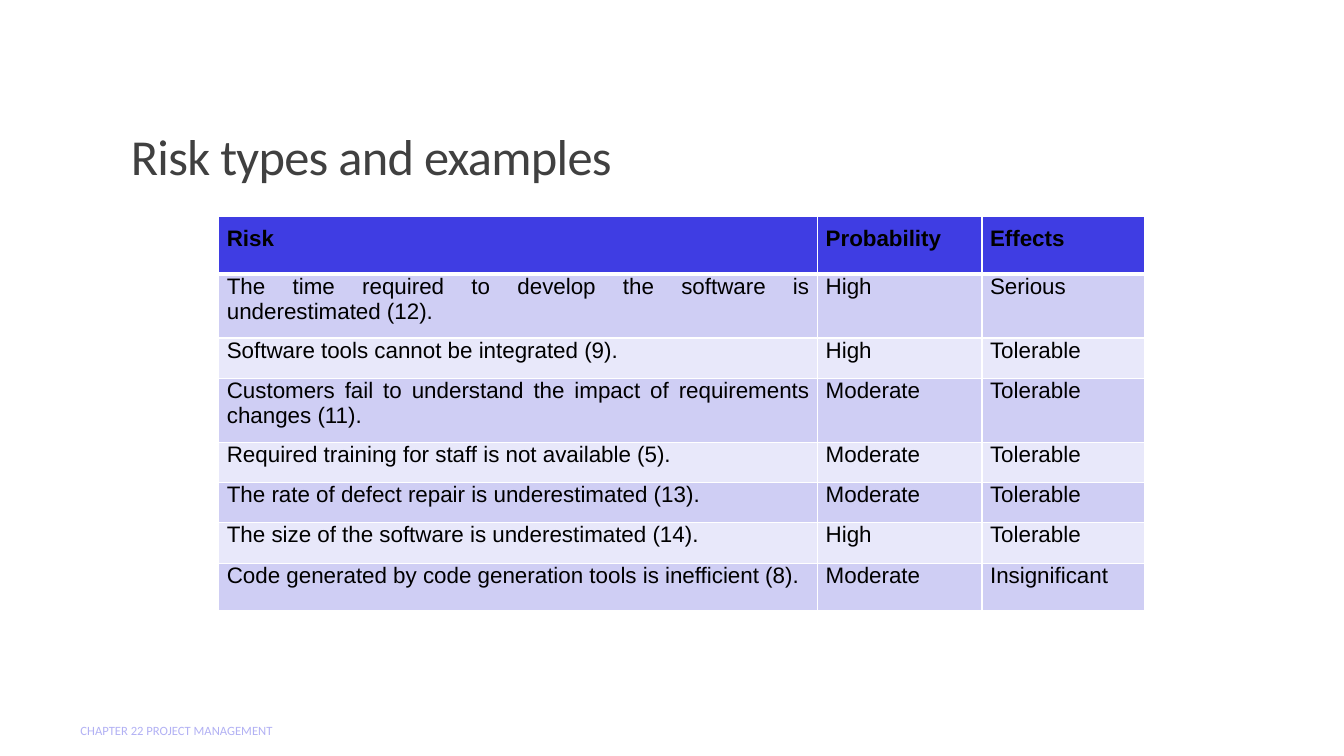
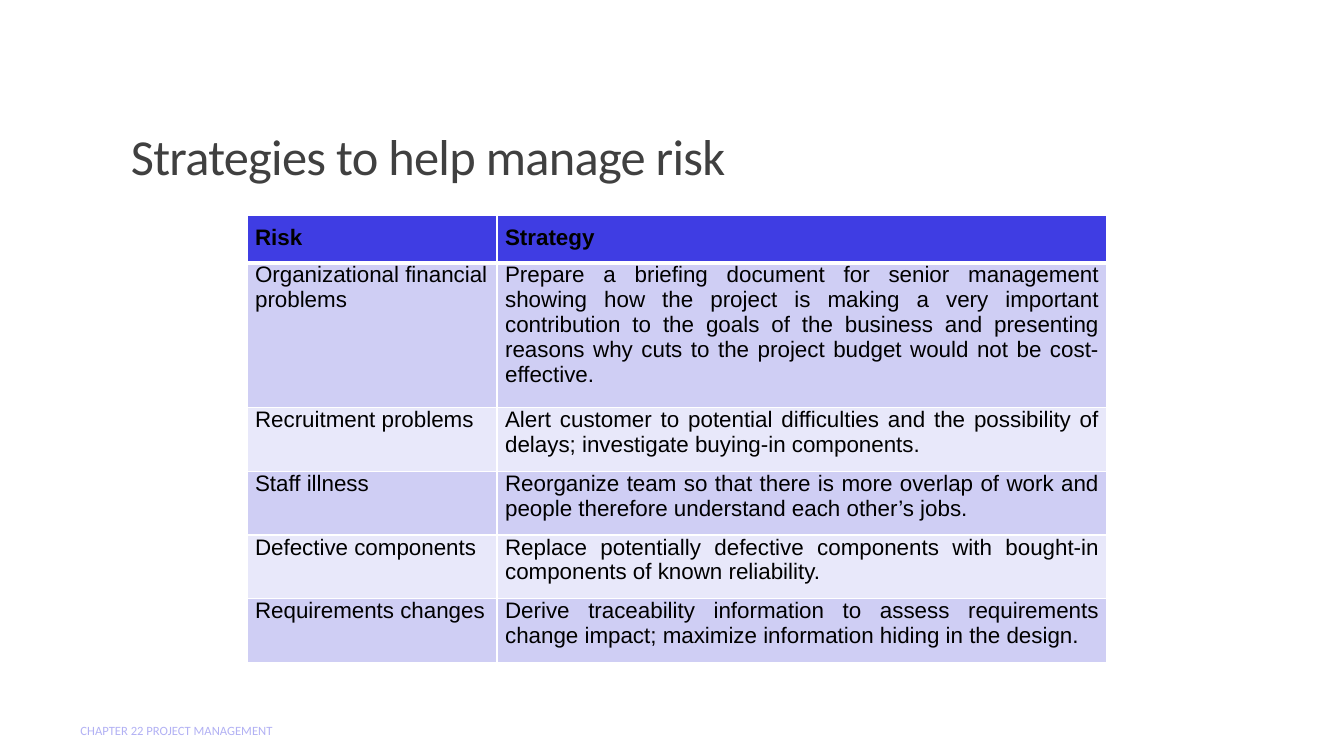
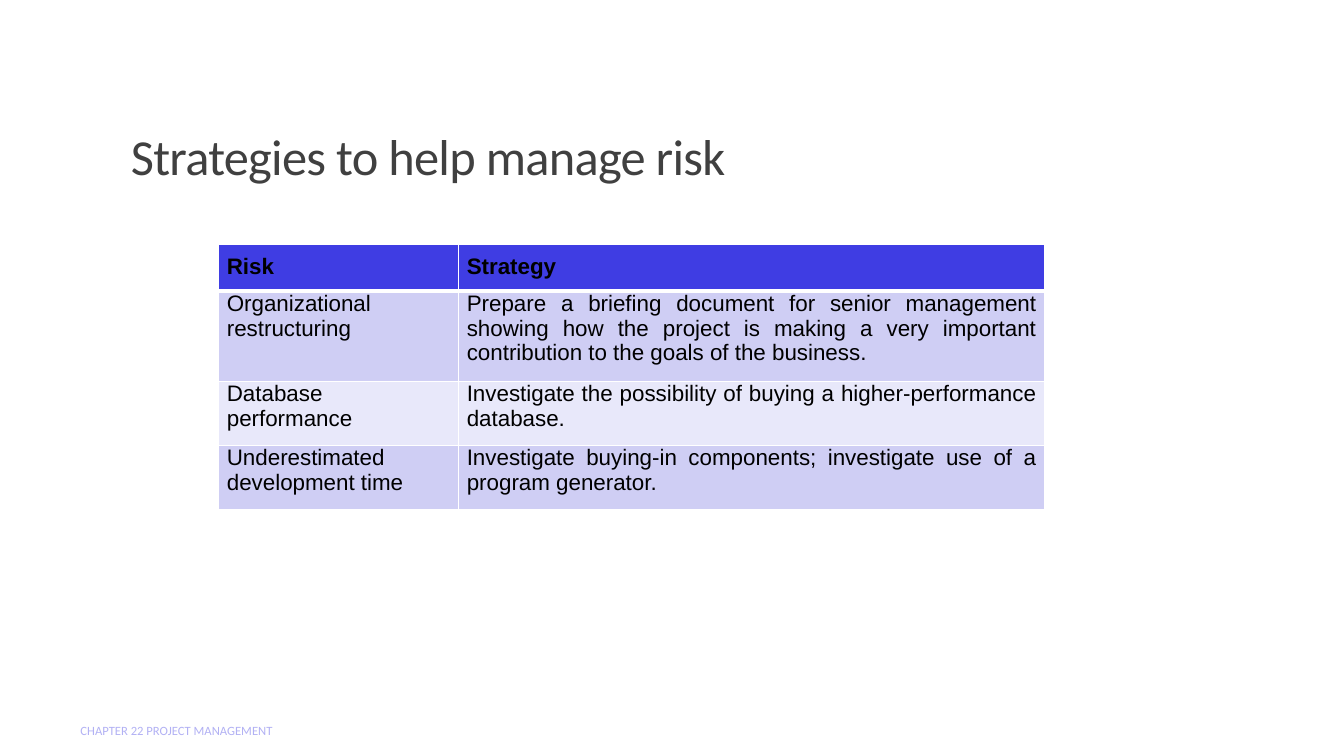
from dataclasses import dataclass

from lxml.etree import SubElement as Sub
from pptx import Presentation as Deck
from pptx.dml.color import RGBColor as Color
from pptx.enum.text import MSO_ANCHOR as Anchor, PP_ALIGN as Align
from pptx.oxml.ns import qn
from pptx.slide import Slide
from pptx.table import _Cell as Cell
from pptx.text.text import _Paragraph as Para
from pptx.util import Inches, Pt

HEAD = "3F3DE3"
BANDS = ("CFCEF4", "E8E8FA")
RULE = "FFFFFF"
INK = "000000"
FOOTER = "CHAPTER 22 PROJECT MANAGEMENT"


@dataclass(frozen=True)
class Style:
    size: float
    font: str
    color: str
    bold: bool = False
    space: int = 0


@dataclass(frozen=True)
class Box:
    left: float
    top: float
    width: float
    height: float
    anchor: Anchor
    style: Style
    lead: float = 1.0


@dataclass(frozen=True)
class Page:
    title: str
    left: float
    top: float
    cols: tuple[float, ...]
    highs: tuple[float, ...]
    rows: tuple[tuple[str, ...], ...]
    first: Align = Align.LEFT


TITLE = Box(1.2, 0.31, 11, 1.59, Anchor.BOTTOM,
            Style(36, "Calibri", "404040", space=-50), 0.9)
FOOT = Box(0.7, 7.05, 7.46, 0.4, Anchor.MIDDLE, Style(9, "Calibri", "B2B1F4"))
LABEL = Style(16, "Arial", INK, bold=True)
BODY = Style(16, "Arial", INK)

PAGES = (
    Page(
        "Risk types and examples", 2.17, 2.15, (5.94, 1.63, 1.61),
        (0.57, 0.47, 0.4, 0.47, 0.4, 0.4, 0.4, 0.47),
        (
            ("Risk", "Probability", "Effects"),
            ("The time required to develop the software is underestimated (12).",
             "High", "Serious"),
            ("Software tools cannot be integrated (9).", "High", "Tolerable"),
            ("Customers fail to understand the impact of requirements changes (11).",
             "Moderate", "Tolerable"),
            ("Required training for staff is not available (5).",
             "Moderate", "Tolerable"),
            ("The rate of defect repair is underestimated (13).",
             "Moderate", "Tolerable"),
            ("The size of the software is underestimated (14).",
             "High", "Tolerable"),
            ("Code generated by code generation tools is inefficient (8).",
             "Moderate", "Insignificant"),
        ),
        Align.JUSTIFY,
    ),
    Page(
        "Strategies to help manage risk", 2.45, 2.14, (2.48, 6.05), (0.41,) * 6,
        (
            ("Risk", "Strategy"),
            ("Organizational financial problems",
             "Prepare a briefing document for senior management showing how the "
             "project is making a very important contribution to the goals of the "
             "business and presenting reasons why cuts to the project budget would "
             "not be cost-effective."),
            ("Recruitment problems",
             "Alert customer to potential difficulties and the possibility of "
             "delays; investigate buying-in components."),
            ("Staff illness",
             "Reorganize team so that there is more overlap of work and people "
             "therefore understand each other’s jobs."),
            ("Defective components",
             "Replace potentially defective components with bought-in components "
             "of known reliability."),
            ("Requirements changes",
             "Derive traceability information to assess requirements change "
             "impact; maximize information hiding in the design."),
        ),
    ),
    Page(
        "Strategies to help manage risk", 2.17, 2.42, (2.38, 5.81), (0.41,) * 4,
        (
            ("Risk", "Strategy"),
            ("Organizational restructuring",
             "Prepare a briefing document for senior management showing how the "
             "project is making a very important contribution to the goals of the "
             "business."),
            ("Database performance",
             "Investigate the possibility of buying a higher-performance database."),
            ("Underestimated development time",
             "Investigate buying-in components; investigate use of a program "
             "generator."),
        ),
    ),
)


def paint(code: str) -> Color:
    return Color.from_string(code)


def format_runs(para: Para, style: Style) -> None:
    for run in para.runs:
        font = run.font
        font.size, font.name, font.bold = Pt(style.size), style.font, style.bold
        font.color.rgb = paint(style.color)
        if style.space:
            run._r.get_or_add_rPr().set("spc", str(style.space))


def add_text(slide: Slide, text: str, box: Box) -> None:
    frame = slide.shapes.add_textbox(
        Inches(box.left), Inches(box.top), Inches(box.width), Inches(box.height)
    ).text_frame
    frame.word_wrap = True
    frame.vertical_anchor = box.anchor
    frame.text = text
    para = frame.paragraphs[0]
    para.line_spacing = box.lead
    format_runs(para, box.style)


def add_rules(cell: Cell, base: float) -> None:
    props = cell._tc.get_or_add_tcPr()
    for side, width in (("L", 1), ("R", 1), ("T", 1), ("B", base)):
        line = Sub(props, qn(f"a:ln{side}"), w=str(Pt(width)))
        Sub(Sub(line, qn("a:solidFill")), qn("a:srgbClr"), val=RULE)


def fill_cell(cell: Cell, text: str, row: int, align: Align) -> None:
    head = row == 0
    add_rules(cell, 3 if head else 1)
    cell.fill.solid()
    cell.fill.fore_color.rgb = paint(HEAD if head else BANDS[(row - 1) % 2])
    cell.margin_left = cell.margin_right = Inches(0.08)
    cell.margin_top = Inches(0.1 if head else 0)
    cell.margin_bottom = Inches(0.1)
    cell.text_frame.text = text
    para = cell.text_frame.paragraphs[0]
    para.alignment = align
    format_runs(para, LABEL if head else BODY)


def add_grid(slide: Slide, page: Page) -> None:
    grid = slide.shapes.add_table(
        len(page.rows), len(page.cols), Inches(page.left), Inches(page.top),
        Inches(sum(page.cols)), Inches(sum(page.highs))
    ).table
    grid.horz_banding = False
    for col, width in zip(grid.columns, page.cols):
        col.width = Inches(width)
    for row, high in zip(grid.rows, page.highs):
        row.height = Inches(high)
    for i, row in enumerate(page.rows):
        for j, text in enumerate(row):
            align = page.first if i and not j else Align.JUSTIFY
            fill_cell(grid.cell(i, j), text, i, align)


def main() -> None:
    deck = Deck()
    deck.slide_width, deck.slide_height = Inches(13.33), Inches(7.5)
    for page in PAGES:
        slide = deck.slides.add_slide(deck.slide_layouts[6])
        add_text(slide, page.title, TITLE)
        add_grid(slide, page)
        add_text(slide, FOOTER, FOOT)
    deck.save("out.pptx")


if __name__ == "__main__":
    main()
